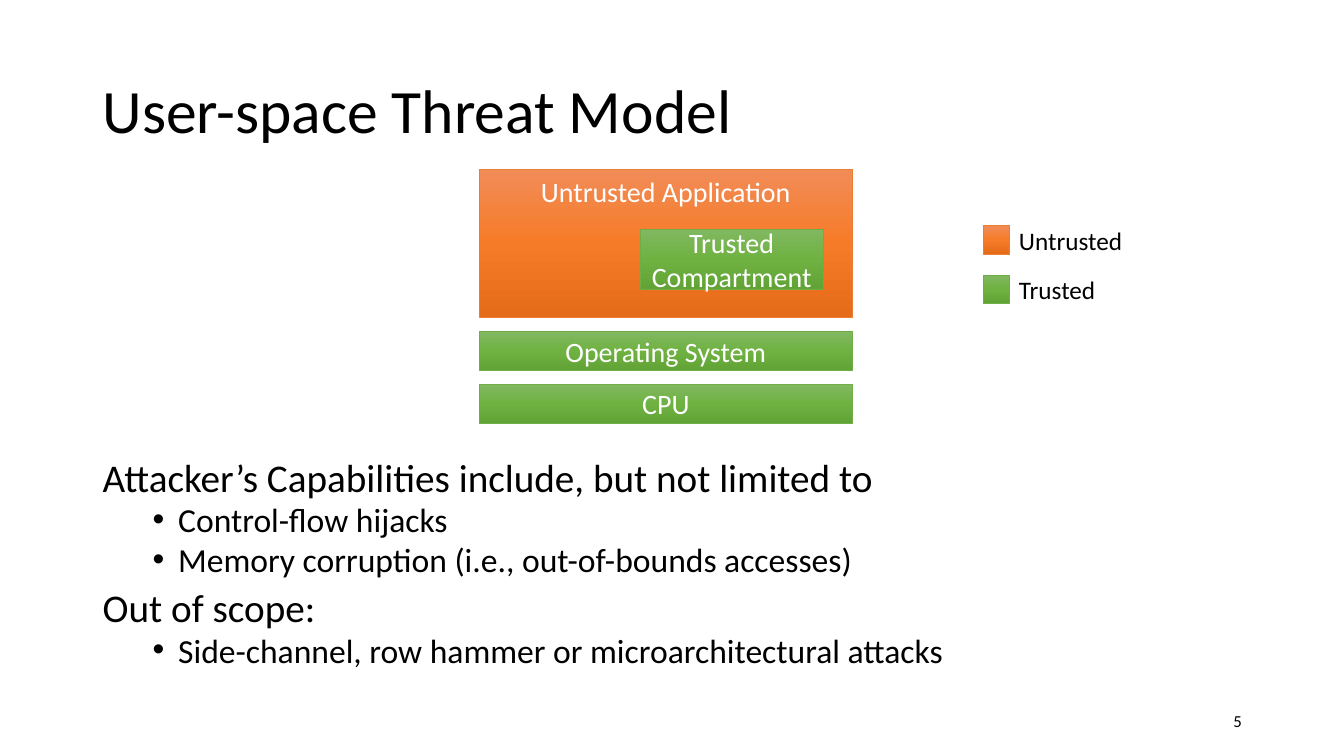
from copy import deepcopy
from dataclasses import dataclass

from lxml.etree import SubElement
from pptx import Presentation
from pptx.dml.color import RGBColor as Rgb
from pptx.enum.shapes import MSO_SHAPE as Preset
from pptx.enum.text import MSO_ANCHOR as Anchor, PP_ALIGN as Align
from pptx.oxml.ns import qn
from pptx.util import Cm, Pt


@dataclass(frozen=True)
class Trust:
    gradient: tuple[str, str, str]
    border: str


@dataclass(frozen=True)
class Theme:
    font: str = "Calibri"
    ink: str = "000000"
    label: str = "FFFFFF"
    title: int = 44
    topic: int = 28
    point: int = 24
    layer: int = 20
    legend: int = 18
    number: int = 12
    untrusted: Trust = Trust(("F18C57", "F67B28", "E56C19"), "ED7D31")
    trusted: Trust = Trust(("81B861", "6FB242", "62A336"), "70AD47")


@dataclass(frozen=True)
class Area:
    left: float
    top: float
    width: float
    height: float

    def lengths(self) -> tuple[Cm, ...]:
        return tuple(Cm(n) for n in (self.left, self.top, self.width, self.height))


@dataclass(frozen=True)
class Layer:
    text: str
    height: float
    trust: Trust
    anchor: Anchor = Anchor.MIDDLE


@dataclass(frozen=True)
class Topic:
    heading: str
    points: tuple[str, ...]


THEME = Theme()
STACK_LEFT, STACK_TOP, STACK_WIDTH, STACK_GAP = 12.07, 4.27, 9.42, 0.36
LEGEND_LEFT, LEGEND_TOP, LEGEND_STEP = 24.77, 5.69, 1.24
LAYERS = (
    Layer("Untrusted Application", 3.73, THEME.untrusted, Anchor.TOP),
    Layer("Operating System", 0.97, THEME.trusted),
    Layer("CPU", 0.97, THEME.trusted),
)
COMPARTMENT = Layer("Trusted\vCompartment", 1.52, THEME.trusted)
LEGEND = (("Untrusted", THEME.untrusted), ("Trusted", THEME.trusted))
TOPICS = (
    Topic(
        "Attacker’s Capabilities include, but not limited to",
        ("Control-flow hijacks", "Memory corruption (i.e., out-of-bounds accesses)"),
    ),
    Topic("Out of scope:", ("Side-channel, row hammer or microarchitectural attacks",)),
)


def apply(target, formats: dict) -> None:
    """Set every attribute named in the format values."""
    for attribute, value in formats.items():
        setattr(target, attribute, value)


def write(paragraph, text: str, size: int, color: str = THEME.ink, **formats) -> None:
    """Fill a paragraph with text in the theme font."""
    paragraph.text = text
    apply(paragraph, formats)
    apply(paragraph.font, {"name": THEME.font, "size": Pt(size)})
    paragraph.font.color.rgb = Rgb.from_string(color)


def add_text_frame(slide, area: Area, anchor: Anchor = Anchor.MIDDLE):
    """Add a wrapping text box and return its frame."""
    frame = slide.shapes.add_textbox(*area.lengths()).text_frame
    apply(frame, {"word_wrap": True, "vertical_anchor": anchor})
    return frame


def add_block(slide, area: Area, trust: Trust):
    """Add a rectangle shaded by its trust level."""
    block = slide.shapes.add_shape(Preset.RECTANGLE, *area.lengths())
    block.shadow.inherit = False
    block.fill.gradient()
    block.fill.gradient_angle = 270
    first = block._element.spPr.find(".//" + qn("a:gs"))
    first.addnext(deepcopy(first))
    for stop, color, place in zip(block.fill.gradient_stops, trust.gradient, (0, 0.5, 1)):
        stop.color.rgb = Rgb.from_string(color)
        stop.position = place
    block.line.color.rgb = Rgb.from_string(trust.border)
    block.line.width = Pt(0.5)
    return block


def add_layer(slide, layer: Layer, left: float, top: float, width: float) -> None:
    """Add a labelled block of the system stack."""
    frame = add_block(slide, Area(left, top, width, layer.height), layer.trust).text_frame
    apply(frame, {"word_wrap": True, "vertical_anchor": layer.anchor})
    write(frame.paragraphs[0], layer.text, THEME.layer, THEME.label, alignment=Align.CENTER)


def add_stack(slide) -> None:
    """Stack the layers at equal gaps and place the compartment."""
    top = STACK_TOP
    for layer in LAYERS:
        add_layer(slide, layer, STACK_LEFT, top, STACK_WIDTH)
        top += layer.height + STACK_GAP
    add_layer(slide, COMPARTMENT, 16.13, 5.77, 4.62)


def add_legend(slide) -> None:
    """Add one swatch and name for each trust level."""
    for row, (name, trust) in enumerate(LEGEND):
        top = LEGEND_TOP + row * LEGEND_STEP
        add_block(slide, Area(LEGEND_LEFT, top, 0.66, 0.71), trust)
        frame = add_text_frame(slide, Area(LEGEND_LEFT + 0.66, top - 0.13, 6.12, 1.02), Anchor.TOP)
        write(frame.paragraphs[0], name, THEME.legend)


def add_bullet(paragraph) -> None:
    """Give a paragraph a hanging bullet."""
    properties = paragraph._p.get_or_add_pPr()
    properties.set("marL", str(Cm(1.9)))
    properties.set("indent", str(-Cm(0.64)))
    SubElement(properties, qn("a:buFont"), typeface="Arial")
    SubElement(properties, qn("a:buChar"), char="•")


def add_topics(slide) -> None:
    """Write the headings with their bulleted points."""
    frame = add_text_frame(slide, Area(2.34, 11.53, 29.21, 5.64), Anchor.TOP)
    paragraph = frame.paragraphs[0]
    for order, topic in enumerate(TOPICS):
        if order:
            paragraph = frame.add_paragraph()
        space = Pt(10 if order else 0)
        write(paragraph, topic.heading, THEME.topic, line_spacing=0.8, space_before=space)
        for point in topic.points:
            paragraph = frame.add_paragraph()
            write(paragraph, point, THEME.point, level=1, line_spacing=0.8, space_before=Pt(5))
            add_bullet(paragraph)


def main() -> None:
    """Build and save the threat model slide."""
    deck = Presentation()
    apply(deck, {"slide_width": Cm(33.87), "slide_height": Cm(19.05)})
    slide = deck.slides.add_slide(deck.slide_layouts[6])
    title = add_text_frame(slide, Area(2.34, 1.02, 29.21, 3.68))
    write(title.paragraphs[0], "User-space Threat Model", THEME.title, line_spacing=0.9)
    add_topics(slide)
    number = add_text_frame(slide, Area(23.93, 17.65, 7.62, 1.02))
    write(number.paragraphs[0], "5", THEME.number, alignment=Align.RIGHT)
    add_stack(slide)
    add_legend(slide)
    deck.save("out.pptx")


if __name__ == "__main__":
    main()
